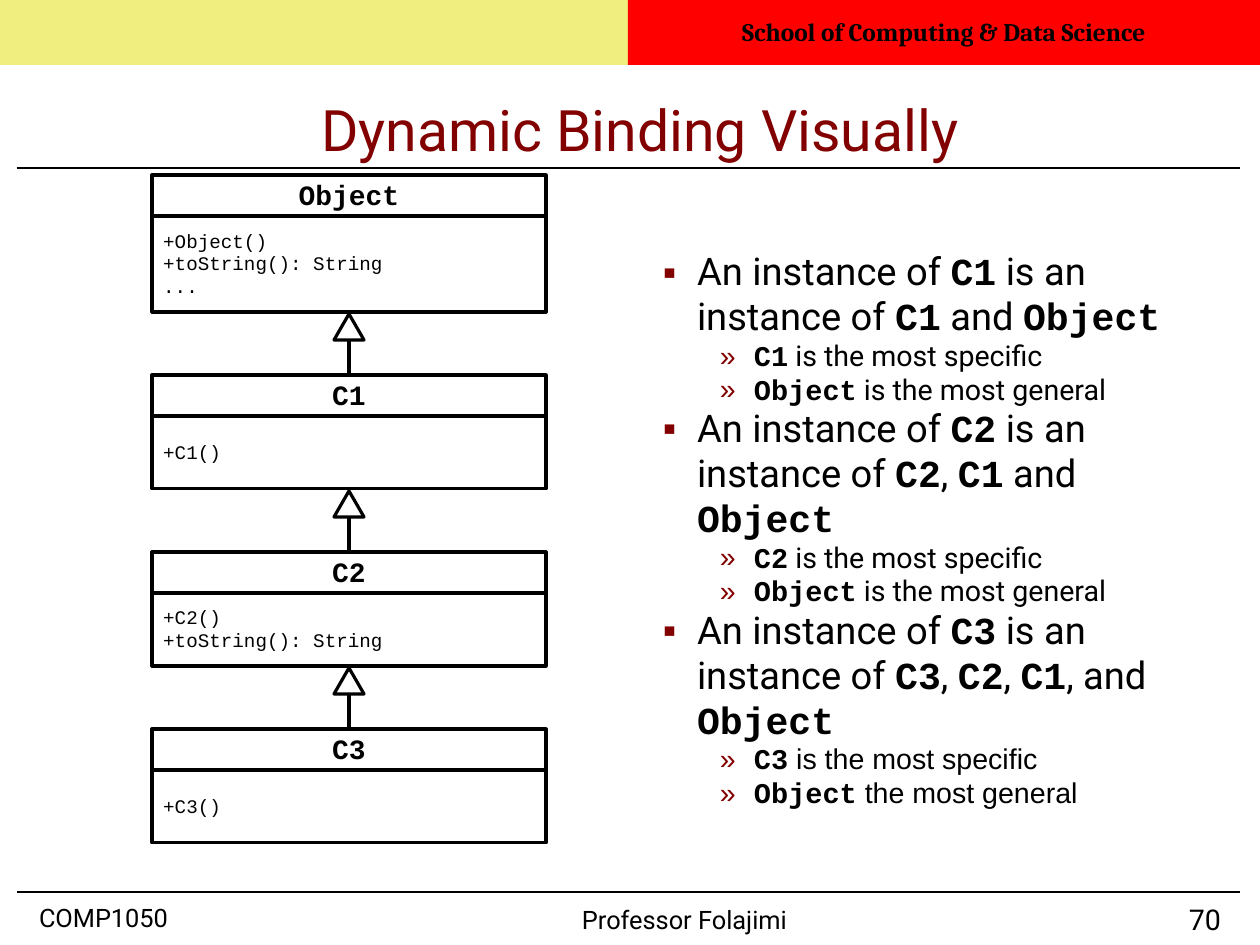
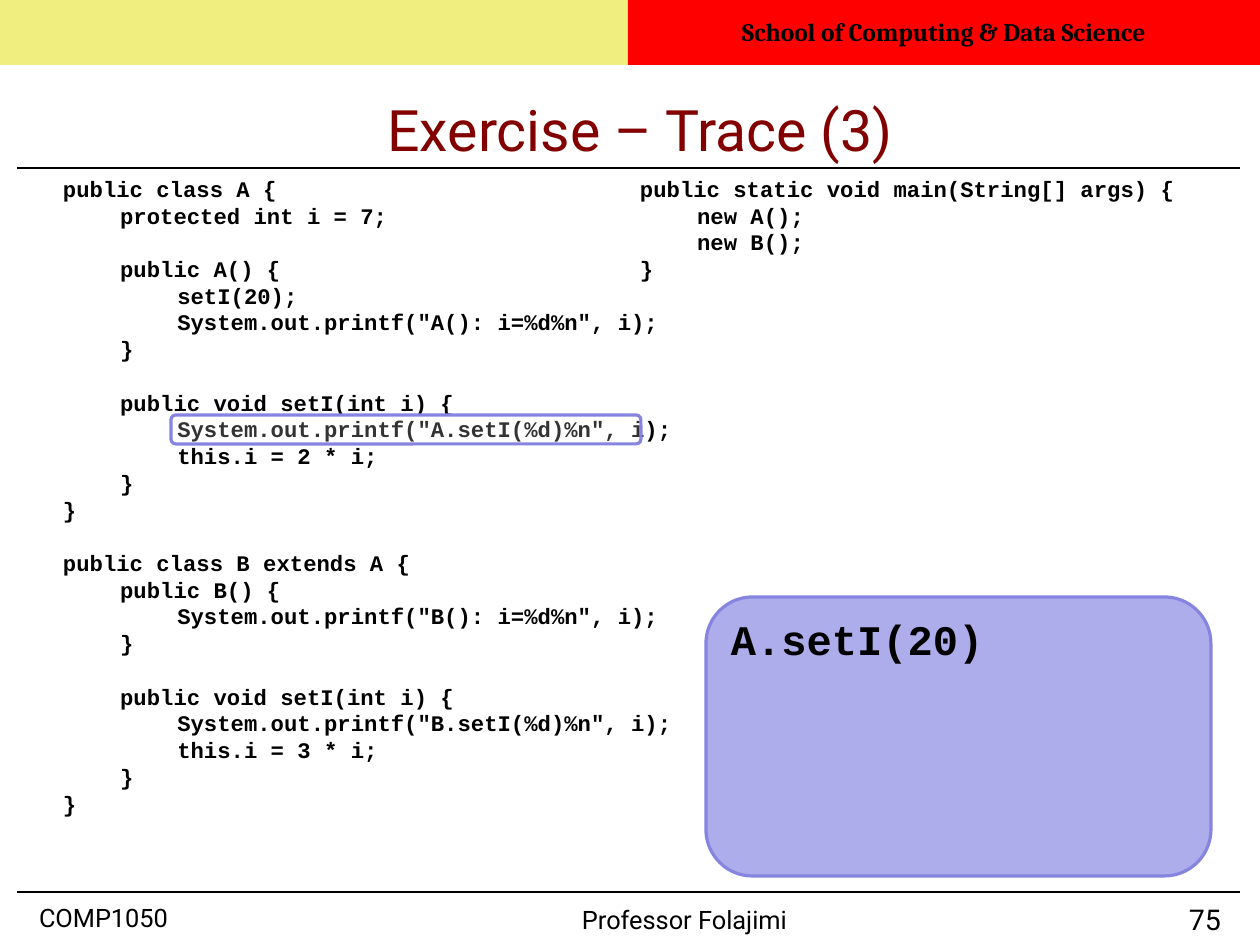
from lxml import etree
from pptx import Presentation
from pptx.dml.color import RGBColor
from pptx.enum.shapes import MSO_CONNECTOR, MSO_SHAPE
from pptx.enum.text import MSO_ANCHOR, MSO_AUTO_SIZE, PP_ALIGN
from pptx.oxml.ns import qn
from pptx.shapes.connector import Connector
from pptx.util import Pt

PX = 8000  # EMU in one px
BLACK = RGBColor(0x00, 0x00, 0x00)
WHITE = RGBColor(0xFF, 0xFF, 0xFF)
MAROON = RGBColor(0x82, 0x00, 0x00)
YELLOW = RGBColor(0xE3, 0xDE, 0x00)
RED = RGBColor(0xFF, 0x00, 0x00)
LAVENDER = RGBColor(0xAD, 0xAD, 0xEB)
VIOLET = RGBColor(0x85, 0x85, 0xE0)
SANS, MONO = "Roboto", "Courier New"


def draw_shape(page, preset, frame, fill, line=None, opacity=100):
    shape = page.shapes.add_shape(preset, *[length * PX for length in frame])
    shape.shadow.inherit = False
    shape.fill.solid()
    shape.fill.fore_color.rgb = fill
    if opacity < 100:
        color = shape._element.spPr.find(qn("a:solidFill")).find(qn("a:srgbClr"))
        etree.SubElement(color, qn("a:alpha"), val=str(opacity * 1000))
    if line is None:
        shape.line.fill.background()
    else:
        shape.line.color.rgb = line
        shape.line.width = Pt(2)
    return shape


def write(paragraph, text, size, face, bold=False, color=BLACK,
          align=PP_ALIGN.LEFT, spacing=0.98):
    """Fill a paragraph; words between backticks become bold code."""
    paragraph.alignment = align
    paragraph.line_spacing = spacing
    paragraph.space_before = Pt(0)
    for index, words in enumerate(text.split("`")):
        if words:
            span = paragraph.add_run()
            span.text = words
            is_code = index % 2 == 1
            span.font.name = MONO if is_code else face
            span.font.bold = bold or is_code
            span.font.size = Pt(size)
            span.font.color.rgb = color


deck = Presentation()
deck.slide_width, deck.slide_height = 1260 * PX, 945 * PX

# Title, bands, rules and footer of every page
PAGES = [("Dynamic Binding Visually", "70", 1), ("Exercise – Trace (3)", "75", 3)]
for title_text, number, layout in PAGES:
    page = deck.slides.add_slide(deck.slide_layouts[layout])
    title = page.shapes.title
    title.left, title.top, title.width, title.height = [n * PX for n in (154, 77, 972, 91)]
    title.text_frame.vertical_anchor = MSO_ANCHOR.MIDDLE
    write(title.text_frame.paragraphs[0], title_text, 36, SANS, color=MAROON,
          align=PP_ALIGN.CENTER, spacing=1.17)

    draw_shape(page, MSO_SHAPE.RECTANGLE, (0, 0, 630, 65), YELLOW, opacity=50)
    banner = draw_shape(page, MSO_SHAPE.RECTANGLE, (628, 0, 632, 65), RED)
    write(banner.text_frame.paragraphs[0], "School of Computing & Data Science", 16,
          "Cambria", bold=True, align=PP_ALIGN.CENTER)

    for y in (168, 892):
        rule = page.shapes.add_connector(MSO_CONNECTOR.STRAIGHT, 17 * PX, y * PX, 1240 * PX, y * PX)
        rule.line.width = Pt(1.5)

    for text, frame, size, align in [
        ("COMP1050", (39, 903, 220, 32), 16, PP_ALIGN.LEFT),
        ("Professor Folajimi", (582, 905, 220, 32), 16, PP_ALIGN.LEFT),
        (number, (1126, 903, 95, 32), 18, PP_ALIGN.RIGHT),
    ]:
        footer = page.shapes.add_textbox(*[length * PX for length in frame])
        footer.text_frame.margin_top = 2 * PX
        write(footer.text_frame.paragraphs[0], text, size, SANS, align=align, spacing=0.93)
        footer.text_frame.margin_left = footer.text_frame.margin_right = 0
        footer.text_frame.margin_bottom = 0
        footer.text_frame.word_wrap = True

binding_page, trace_page = deck.slides

# Body placeholders
body = binding_page.placeholders[1]
code_left, code_right = trace_page.placeholders[1], trace_page.placeholders[2]
for holder, frame in [
    (binding_page.shapes.title, None),
    (trace_page.shapes.title, None),
    (body, (640, 250, 557, 470)),
    (code_left, (63, 175, 615, 669)),
    (code_right, (640, 175, 615, 669)),
]:
    if frame:
        holder.left, holder.top, holder.width, holder.height = [n * PX for n in frame]
        holder.text_frame.vertical_anchor = MSO_ANCHOR.TOP
    text_frame = holder.text_frame
    text_frame.auto_size = MSO_AUTO_SIZE.NONE
    text_frame.word_wrap = True
    text_frame.margin_left = text_frame.margin_right = 0
    text_frame.margin_top = text_frame.margin_bottom = 0

# Binding page: bullets as (level, text, font)
BULLETS = [
    (0, "An instance of `C1` is an instance of `C1` and `Object`", SANS),
    (1, "`C1` is the most specific", SANS),
    (1, "`Object` is the most general", SANS),
    (0, "An instance of `C2` is an instance of `C2`, `C1` and `Object`", SANS),
    (1, "`C2` is the most specific", SANS),
    (1, "`Object` is the most general", SANS),
    (0, "An instance of `C3` is an instance of `C3`, `C2`, `C1`, and `Object`", SANS),
    (1, "`C3` is the most specific", "Arial"),
    (1, "`Object` the most general", "Arial"),
]
for index, (level, text, face) in enumerate(BULLETS):
    frame = body.text_frame
    paragraph = frame.add_paragraph() if index else frame.paragraphs[0]
    paragraph.level = level
    properties = paragraph._p.get_or_add_pPr()
    properties.set("marL", str(57 * (level + 1) * PX))
    properties.set("indent", str(-34 * PX))
    bullet_color = etree.SubElement(properties, qn("a:buClr"))
    etree.SubElement(bullet_color, qn("a:srgbClr"), val=str(MAROON))
    etree.SubElement(properties, qn("a:buChar"), char="▪»"[level])
    write(paragraph, text, (24, 18)[level], face)

# Binding page: class diagram
CLASSES = [
    ("Object", ["+Object()", "+toString(): String", "..."], 96),
    ("C1", ["+C1()"], 73),
    ("C2", ["+C2()", "+toString(): String"], 73),
    ("C3", ["+C3()"], 73),
]
CLASS_LEFT, CLASS_WIDTH, HEADER_HEIGHT, CLASS_GAP = 152, 394, 41, 63
CLASS_MIDDLE = CLASS_LEFT + CLASS_WIDTH // 2
top = 175
for index, (name, members, members_height) in enumerate(CLASSES):
    header = draw_shape(binding_page, MSO_SHAPE.RECTANGLE,
                        (CLASS_LEFT, top, CLASS_WIDTH, HEADER_HEIGHT), WHITE, BLACK)
    write(header.text_frame.paragraphs[0], name, 17.6, MONO, bold=True, align=PP_ALIGN.CENTER)
    member_box = draw_shape(binding_page, MSO_SHAPE.RECTANGLE,
                            (CLASS_LEFT, top + HEADER_HEIGHT, CLASS_WIDTH, members_height),
                            WHITE, BLACK)
    member_box.text_frame.text = "\n" * (len(members) - 1)
    for paragraph, member in zip(member_box.text_frame.paragraphs, members):
        write(paragraph, member, 12.1, MONO)
    if index:
        arrow_top = top - CLASS_GAP + 2
        draw_shape(binding_page, MSO_SHAPE.ISOSCELES_TRIANGLE,
                   (CLASS_MIDDLE - 15, arrow_top, 30, 26), WHITE, BLACK)
        stem = binding_page.shapes.add_connector(
            MSO_CONNECTOR.STRAIGHT, CLASS_MIDDLE * PX, top * PX,
            CLASS_MIDDLE * PX, (arrow_top + 26) * PX)
        stem.begin_connect(header, 0)
        stem.line.width = Pt(2)
    top += HEADER_HEIGHT + members_height + CLASS_GAP

# Trace page: code
CLASS_CODE = """public class A {
\tprotected int i = 7;

\tpublic A() {
\t\tsetI(20);
\t\tSystem.out.printf("A(): i=%d%n", i);
\t}

\tpublic void setI(int i) {
\t\tSystem.out.printf("A.setI(%d)%n", i);
\t\tthis.i = 2 * i;
\t}
}

public class B extends A {
\tpublic B() {
\t\tSystem.out.printf("B(): i=%d%n", i);
\t}

\tpublic void setI(int i) {
\t\tSystem.out.printf("B.setI(%d)%n", i);
\t\tthis.i = 3 * i;
\t}
}"""
MAIN_CODE = """public static void main(String[] args) {
\tnew A();
\tnew B();
}"""
for holder, code in [(code_left, CLASS_CODE), (code_right, MAIN_CODE)]:
    for index, line in enumerate(code.split("\n")):
        frame = holder.text_frame
        paragraph = frame.add_paragraph() if index else frame.paragraphs[0]
        properties = paragraph._p.get_or_add_pPr()
        properties.set("marL", "0")
        properties.set("indent", "0")
        etree.SubElement(properties, qn("a:buNone"))
        tabs = etree.SubElement(properties, qn("a:tabLst"))
        for stop in (56, 112):
            etree.SubElement(tabs, qn("a:tab"), pos=str(stop * PX), algn="l")
        write(paragraph, line, 14, MONO, bold=True, spacing=Pt(16.84))

# Trace page: current line and console
draw_shape(trace_page, MSO_SHAPE.ROUNDED_RECTANGLE, (171, 415, 470, 29), WHITE, VIOLET, opacity=20)
console = draw_shape(trace_page, MSO_SHAPE.ROUNDED_RECTANGLE, (706, 597, 505, 279), LAVENDER, VIOLET)
console.text_frame.vertical_anchor = MSO_ANCHOR.TOP
write(console.text_frame.paragraphs[0], "A.setI(20)", 26.5, MONO, bold=True)

for page in deck.slides:
    for shape in page.shapes:
        if isinstance(shape, Connector):
            shape.line.color.rgb = BLACK
            etree.SubElement(shape._element.spPr, qn("a:effectLst"))

deck.save("out.pptx")
